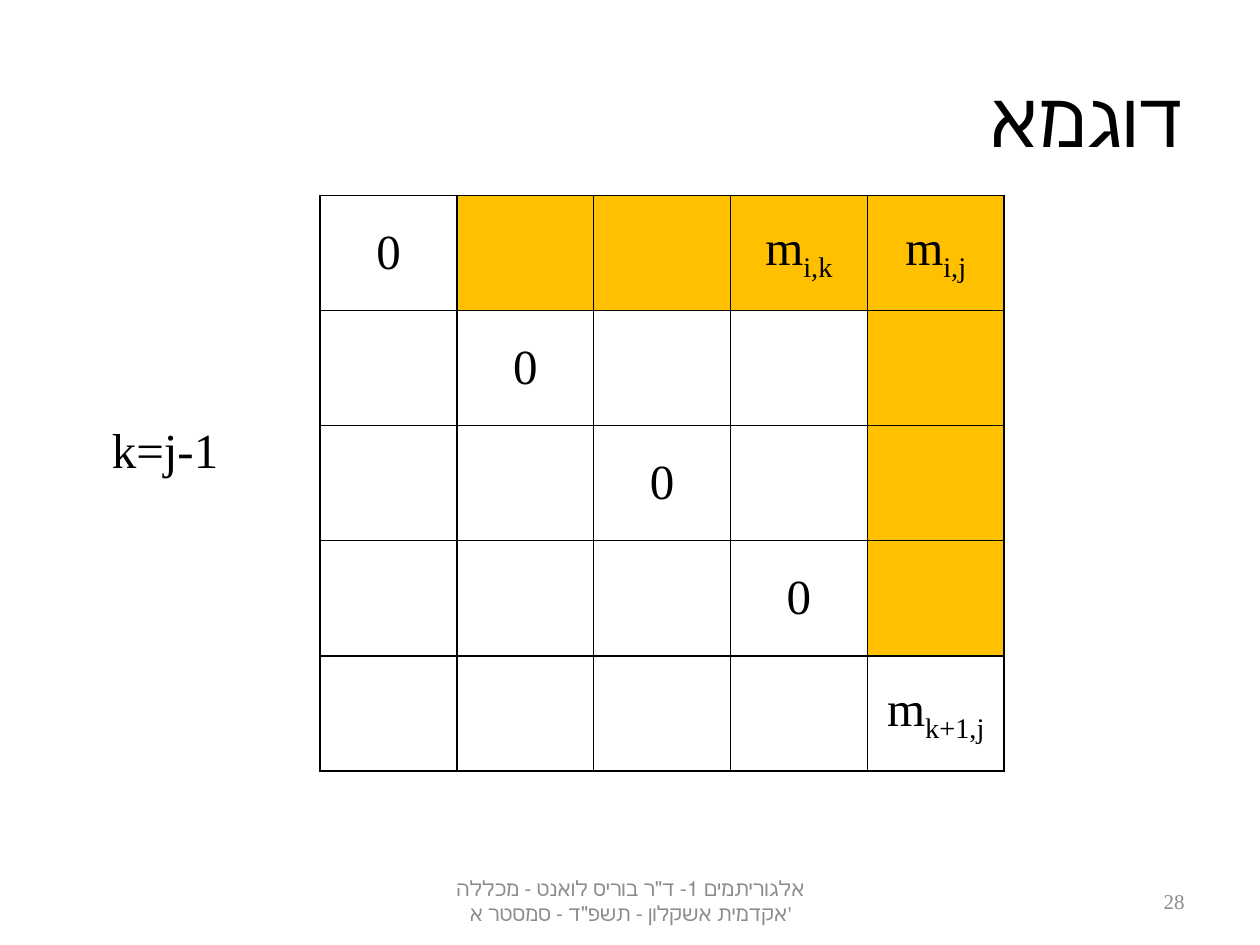
import pptx
import pptx.dml.color
import pptx.enum.text
import pptx.oxml
import pptx.oxml.ns
import pptx.util
from pptx.util import Inches

FONT = "Times New Roman"
BLACK, GREY, ORANGE, WHITE = "000000", "8C8C8C", "FFC000", "FFFFFF"
ALIGN = pptx.enum.text.PP_ALIGN
ANCHOR = pptx.enum.text.MSO_ANCHOR
SIZE = 5


def write(frame, text, size, align, color=BLACK, subscript=""):
    """Fill the first paragraph of a frame, with an optional subscript run."""
    paragraph = frame.paragraphs[0]
    paragraph.alignment = align
    for part in filter(None, (text, subscript)):
        run = paragraph.add_run()
        run.text = part
        run.font.name = FONT
        run.font.size = pptx.util.Pt(size)
        run.font.color.rgb = pptx.dml.color.RGBColor.from_string(color)
        if part == subscript:
            run.font._element.set("baseline", "-25000")
    return paragraph


def outline(cell):
    """Draw a thin black border on all four sides; call before filling."""
    for side in ("lnL", "lnR", "lnT", "lnB"):
        cell._tc.get_or_add_tcPr().append(pptx.oxml.parse_xml(
            f'<a:{side} {pptx.oxml.ns.nsdecls("a")} w="12700"><a:solidFill>'
            f'<a:srgbClr val="{BLACK}"/></a:solidFill></a:{side}>'))


presentation = pptx.Presentation()
presentation.slide_width = Inches(10)
presentation.slide_height = Inches(7.5)
slide = presentation.slides.add_slide(presentation.slide_layouts[6])

# Title, footer, page number and the value of k
footer = 'אלגוריתמים 1- ד"ר בוריס לואנט - מכללה אקדמית אשקלון - תשפ"ד - סמסטר א\''
texts = [
    ("דוגמא", (0.5, 0.3, 9, 1.25), 44, ALIGN.RIGHT, BLACK, ANCHOR.MIDDLE),
    (footer, (3.42, 6.95, 3.17, 0.4), 12, ALIGN.CENTER, GREY, ANCHOR.MIDDLE),
    ("28", (7.17, 6.95, 2.33, 0.4), 12, ALIGN.RIGHT, GREY, ANCHOR.MIDDLE),
    ("k=j-1", (0.59, 3.28, 1.44, 0.57), 28, ALIGN.CENTER, BLACK, ANCHOR.TOP),
]
for text, place, size, align, color, anchor in texts:
    frame = slide.shapes.add_textbox(*map(Inches, place)).text_frame
    frame.word_wrap = True
    frame.vertical_anchor = anchor
    paragraph = write(frame, text, size, align, color)
    if text == "דוגמא":
        paragraph._p.get_or_add_pPr().set("rtl", "1")

# Cost matrix: zeros on the diagonal, row i and column j highlighted
matrix = slide.shapes.add_table(
    SIZE, SIZE, Inches(2.54), Inches(1.55), Inches(5.43), Inches(4.57)).table
matrix.first_row = matrix.horz_banding = False
for column in matrix.columns:
    column.width = Inches(5.43 / SIZE)
for row in matrix.rows:
    row.height = Inches(4.57 / SIZE)

last = SIZE - 1
subscripts = {(0, last - 1): "i,k", (0, last): "i,j", (last, last): "k+1,j"}
for row in range(SIZE):
    for column in range(SIZE):
        cell = matrix.cell(row, column)
        outline(cell)
        highlighted = row != column and (row == 0 or column == last)
        cell.fill.solid()
        cell.fill.fore_color.rgb = pptx.dml.color.RGBColor.from_string(
            ORANGE if highlighted else WHITE)
        cell.vertical_anchor = ANCHOR.MIDDLE
        if (row, column) in subscripts:
            write(cell.text_frame, "m", 28, ALIGN.CENTER,
                  subscript=subscripts[row, column])
        elif row == column:
            write(cell.text_frame, "0", 28, ALIGN.CENTER)

presentation.save("out.pptx")
